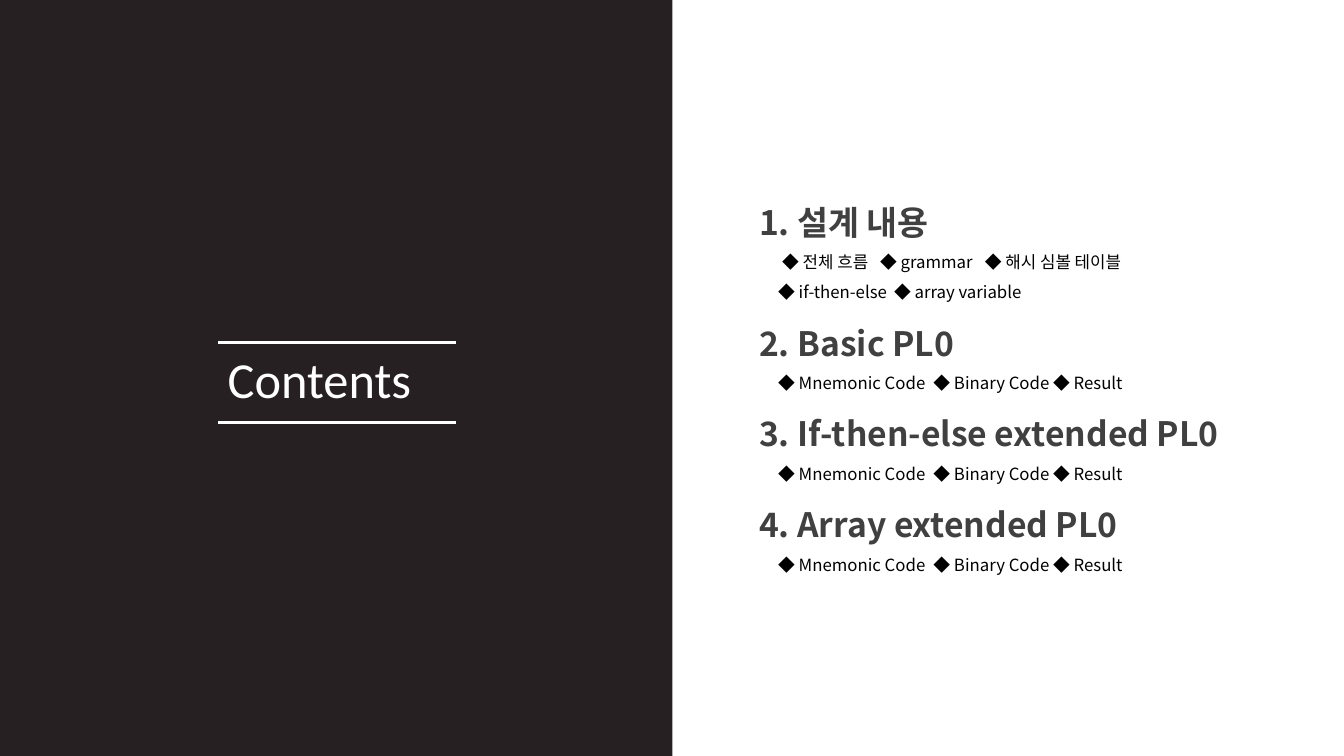
from lxml import etree
from pptx import Presentation
from pptx.dml.color import RGBColor
from pptx.enum.shapes import MSO_CONNECTOR, MSO_SHAPE
from pptx.enum.text import MSO_ANCHOR, MSO_AUTO_SIZE
from pptx.oxml.ns import qn
from pptx.util import Inches, Pt

RECTANGLE = MSO_SHAPE.RECTANGLE
STRAIGHT = MSO_CONNECTOR.STRAIGHT
MIDDLE = MSO_ANCHOR.MIDDLE
TOP = MSO_ANCHOR.TOP
GROW = MSO_AUTO_SIZE.SHAPE_TO_FIT_TEXT

COLORS = {"dark": "272023", "white": "FFFFFF", "heading": "404040", "black": "000000"}
TITLE_FONT = "Calibri"
LIST_FONT = "Noto Sans CJK KR"

CODE_TOPICS = ("\t◆ Mnemonic Code\t◆ Binary Code ◆ Result", (0.19, 1.73))
SECTIONS = [
    ("1. 설계 내용", [
        ("\t◆ 전체 흐름\t◆ grammar\t◆ 해시 심볼 테이블", (0.23, 1.2, 2.24)),
        ("\t◆ if-then-else\t◆ array variable", (0.19, 1.34)),
    ]),
    ("2. Basic PL0", [CODE_TOPICS]),
    ("3. If-then-else extended PL0", [CODE_TOPICS]),
    ("4. Array extended PL0", [CODE_TOPICS]),
]


class ContentsSlide:
    def __init__(self, deck):
        self.page = deck.slides.add_slide(deck.slide_layouts[6])

    def color(self, name):
        return RGBColor.from_string(COLORS[name])

    def panel(self, left, width, color):
        shape = self.page.shapes.add_shape(
            RECTANGLE, Inches(left), 0, Inches(width), Inches(7.5))
        shape.shadow.inherit = False
        shape.fill.solid()
        shape.fill.fore_color.rgb = self.color(color)
        shape.line.fill.background()

    def rule(self, left, right, top):
        line = self.page.shapes.add_connector(
            STRAIGHT, Inches(left), Inches(top), Inches(right), Inches(top))
        line.line.color.rgb = self.color("white")
        line.line.width = Pt(2)
        etree.SubElement(line._element.spPr, qn("a:effectLst"))

    def text_box(self, left, top, width, height, anchor=TOP):
        box = self.page.shapes.add_textbox(
            Inches(left), Inches(top), Inches(width), Inches(height))
        frame = box.text_frame
        frame.word_wrap = True
        frame.auto_size = GROW
        frame.vertical_anchor = anchor
        return frame

    def styled_text(self, para, text, size, font, color, bold=False):
        para.text = text
        for span in para.runs:
            span.font.size = Pt(size)
            span.font.name = font
            span.font.bold = bold
            span.font.color.rgb = self.color(color)
            east_asian = etree.SubElement(span.font._element, qn("a:ea"))
            east_asian.set("typeface", font)

    def outline(self, para):
        """Give the text a thin, mostly transparent black edge."""
        for span in para.runs:
            edge = etree.Element(qn("a:ln"), w=str(Pt(0.75)))
            fill = etree.SubElement(edge, qn("a:solidFill"))
            black = etree.SubElement(fill, qn("a:srgbClr"), val=COLORS["black"])
            etree.SubElement(black, qn("a:alpha"), val="30000")
            span.font._element.insert(0, edge)

    def tab_stops(self, para, stops):
        tabs = etree.SubElement(para._p.get_or_add_pPr(), qn("a:tabLst"))
        for stop in stops:
            etree.SubElement(tabs, qn("a:tab"), pos=str(Inches(stop)), algn="l")

    def section_list(self, frame, sections):
        para = frame.paragraphs[0]
        for number, (heading, topic_rows) in enumerate(sections):
            if number:
                para = frame.add_paragraph()
            para.line_spacing = 1.5
            self.styled_text(para, heading, 24, LIST_FONT, "heading", bold=True)
            self.outline(para)
            for topics, stops in topic_rows:
                row = frame.add_paragraph()
                self.tab_stops(row, stops)
                row.line_spacing = 1.5
                self.styled_text(row, topics, 12, LIST_FONT, "black")


def main():
    deck = Presentation()
    deck.slide_width = Inches(13.33)
    deck.slide_height = Inches(7.5)
    contents = ContentsSlide(deck)

    contents.panel(0, 13.33, "dark")
    contents.panel(6.67, 6.66, "white")
    contents.section_list(contents.text_box(7.43, 1.75, 5.14, 4, MIDDLE), SECTIONS)

    title = contents.text_box(2.16, 3.4, 2.23, 0.71)
    contents.styled_text(title.paragraphs[0], "Contents", 36, TITLE_FONT, "white")
    for top in (3.4, 4.19):
        contents.rule(2.16, 4.52, top)

    deck.save("out.pptx")


if __name__ == "__main__":
    main()
